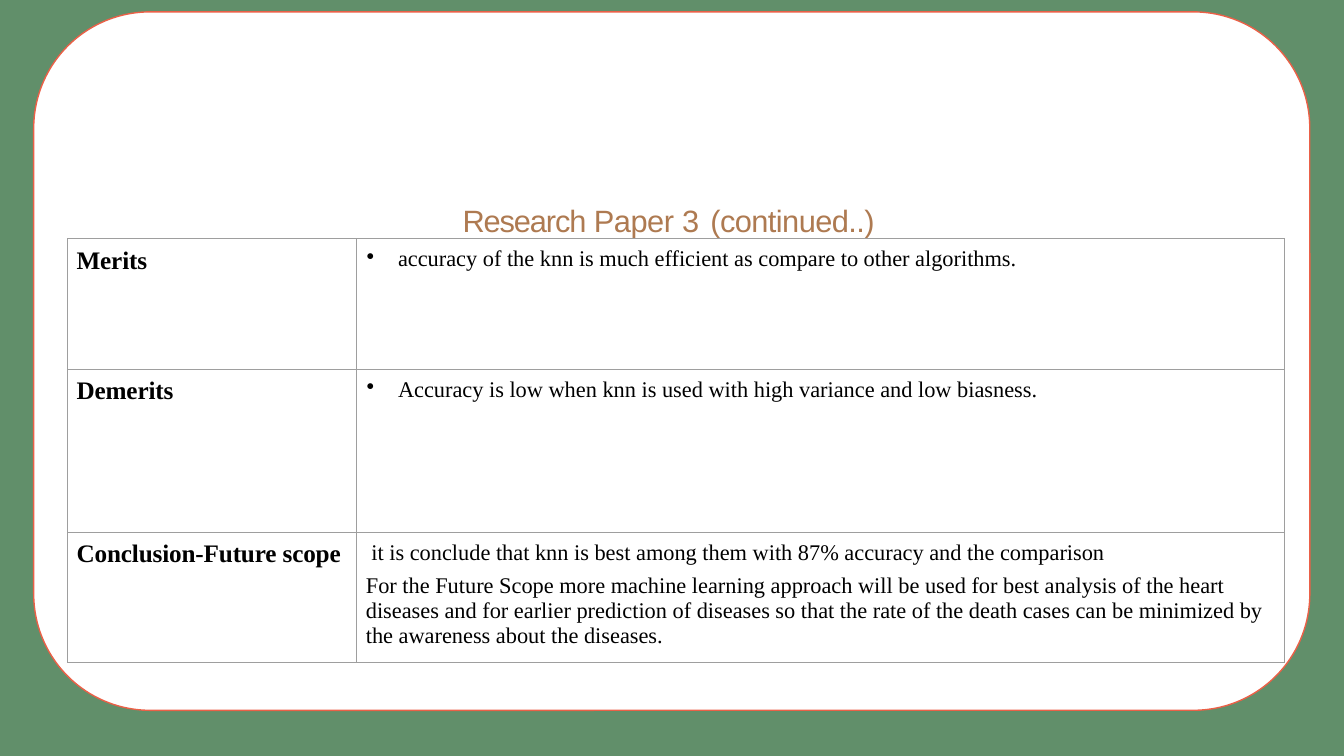
from lxml import etree
from pptx import Presentation
from pptx.dml.color import RGBColor
from pptx.enum.shapes import MSO_SHAPE
from pptx.enum.text import MSO_ANCHOR, MSO_AUTO_SIZE, PP_ALIGN
from pptx.oxml.ns import qn
from pptx.util import Cm, Pt

ROUNDED = MSO_SHAPE.ROUNDED_RECTANGLE
BOTTOM = MSO_ANCHOR.BOTTOM
TOP = MSO_ANCHOR.TOP
GROW = MSO_AUTO_SIZE.SHAPE_TO_FIT_TEXT
CENTER = PP_ALIGN.CENTER

TITLE_PIECES = [("Research ", -0.8), ("Paper ", -0.3), ("3 ", 0.9), ("(continued..)", -0.4)]
COLUMN_WIDTHS = [7.29, 23.37]
FINDINGS = [
    ("Merits", 3.28, True,
     ["accuracy of the knn is much efficient as compare to other algorithms."]),
    ("Demerits", 4.11, True,
     ["Accuracy is low when knn is used with high variance and low biasness."]),
    ("Conclusion-Future scope", 3.28, False,
     [" it is conclude that knn is best among them with 87% accuracy and the comparison",
      "For the Future Scope more machine learning approach will be used for best analysis of "
      "the heart diseases and for earlier prediction of diseases so that the rate of the death "
      "cases can be minimized by the awareness about the diseases."]),
]


def color(hex_value):
    """Return the colour for a hex string."""
    return RGBColor.from_string(hex_value)


def paint(fill, hex_value):
    """Make a fill solid in one colour."""
    fill.solid()
    fill.fore_color.rgb = color(hex_value)


def style_run(run, font_name, size, hex_value, bold=False, tracking=0):
    """Format a run, with letter spacing in points."""
    run.font.name = font_name
    run.font.size = Pt(size)
    run.font.bold = bold
    run.font.color.rgb = color(hex_value)
    run.font._element.set("spc", str(round(tracking * 100)))


def indent(paragraph, left, first=0, bullet=None):
    """Set a paragraph's indents in centimetres and its optional bullet."""
    properties = paragraph._p.get_or_add_pPr()
    properties.set("marL", str(Cm(left)))
    properties.set("indent", str(Cm(first)))
    if bullet:
        etree.SubElement(properties, qn("a:buChar")).set("char", bullet)


def border_cell(cell, hex_value, width):
    """Draw the four borders of a cell."""
    properties = cell._tc.get_or_add_tcPr()
    for position, side in enumerate(("a:lnL", "a:lnR", "a:lnT", "a:lnB")):
        line = etree.Element(qn(side), w=str(Pt(width)))
        fill = etree.SubElement(line, qn("a:solidFill"))
        etree.SubElement(fill, qn("a:srgbClr")).set("val", hex_value)
        properties.insert(position, line)


def fill_cell(cell, texts, size, bold=False, tracking=0, bulleted=False):
    """Write paragraphs into a white bordered cell."""
    cell.margin_left = cell.margin_right = cell.margin_bottom = 0
    cell.margin_top = Cm(0.2)
    cell.vertical_anchor = TOP
    paint(cell.fill, "FFFFFF")
    border_cell(cell, "9E9E9E", 0.75)
    cell.text_frame.text = "\n".join(texts)
    for paragraph in cell.text_frame.paragraphs:
        paragraph.space_before = Pt(6)
        if bulleted:
            indent(paragraph, 1.04, -0.79, "•")
        else:
            indent(paragraph, 0.23)
        style_run(paragraph.runs[0], "Times New Roman", size, "000000", bold, tracking)


def add_panel(slide, left, top, width, height):
    """Place the rounded white panel behind the title."""
    panel = slide.shapes.add_shape(ROUNDED, Cm(left), Cm(top), Cm(width), Cm(height))
    panel.shadow.inherit = False
    paint(panel.fill, "FFFFFF")
    panel.line.color.rgb = color("EB6047")
    panel.line.width = Pt(1)
    slide.shapes.title.element.addprevious(panel.element)


def add_title(slide, left, top, width, height):
    """Place the title and set the spacing of each of its words."""
    title = slide.shapes.title
    title.left, title.top, title.width, title.height = map(Cm, (left, top, width, height))
    frame = title.text_frame
    frame.margin_left = frame.margin_right = frame.margin_bottom = 0
    frame.margin_top = Cm(0.03)
    frame.vertical_anchor = BOTTOM
    frame.word_wrap = True
    frame.auto_size = GROW
    heading = frame.paragraphs[0]
    heading.alignment = CENTER
    heading.space_before = Pt(1)
    indent(heading, 0.03)
    for words, tracking in TITLE_PIECES:
        run = heading.add_run()
        run.text = words
        style_run(run, "Arial", 22, "AE7A51", tracking=tracking)


def add_findings(slide, left, top):
    """Place the table of merits, demerits and conclusion."""
    width = sum(COLUMN_WIDTHS)
    height = sum(row_height for _, row_height, _, _ in FINDINGS)
    table = slide.shapes.add_table(len(FINDINGS), len(COLUMN_WIDTHS),
                                   Cm(left), Cm(top), Cm(width), Cm(height)).table
    table.first_row = table.horz_banding = False
    for column, column_width in zip(table.columns, COLUMN_WIDTHS):
        column.width = Cm(column_width)
    for index, (label, row_height, bulleted, details) in enumerate(FINDINGS):
        table.rows[index].height = Cm(row_height)
        fill_cell(table.cell(index, 0), [label], 18, bold=True, tracking=-0.1)
        fill_cell(table.cell(index, 1), details, 16, bulleted=bulleted)


def main():
    """Build and save the slide."""
    deck = Presentation()
    deck.slide_width, deck.slide_height = Cm(33.87), Cm(19.05)
    slide = deck.slides.add_slide(deck.slide_layouts.get_by_name("Title Only"))
    paint(slide.background.fill, "618F6A")
    add_panel(slide, 0.85, 0.3, 32.16, 17.6)
    add_title(slide, 10.03, 5.05, 13.61, 0.97)
    add_findings(slide, 1.7, 6.02)
    deck.save("out.pptx")


if __name__ == "__main__":
    main()
